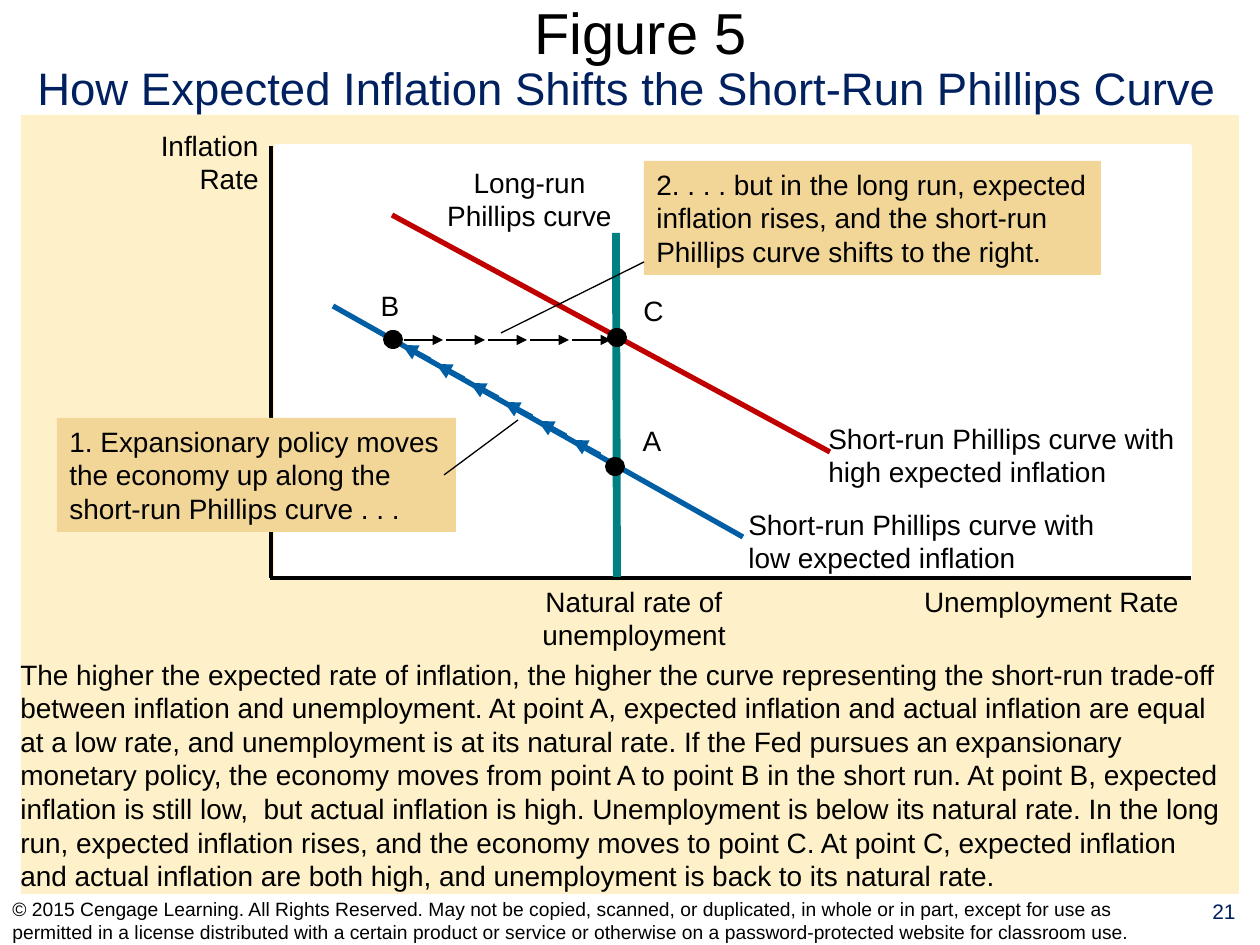
import pptx
import pptx.dml.color
import pptx.enum.shapes
import pptx.enum.text
import pptx.oxml
import pptx.oxml.ns
import pptx.util

RGB = pptx.dml.color.RGBColor
SHAPE = pptx.enum.shapes.MSO_SHAPE
ALIGN = pptx.enum.text.PP_ALIGN
ANCHOR = pptx.enum.text.MSO_ANCHOR
AUTO_SIZE = pptx.enum.text.MSO_AUTO_SIZE

BLACK = RGB(0x00, 0x00, 0x00)
WHITE = RGB(0xFF, 0xFF, 0xFF)
NAVY = RGB(0x00, 0x20, 0x60)
CREAM = RGB(0xFE, 0xF0, 0xC8)
SAND = RGB(0xF2, 0xD6, 0x98)
TEAL = RGB(0x00, 0x80, 0x80)
RED = RGB(0xC0, 0x00, 0x00)
BLUE = RGB(0x00, 0x5E, 0xA4)

PX = 914400 / 126  # 126 px to the inch


def emu(*lengths):
    """Turn px lengths into EMU."""
    return [round(length * PX) for length in lengths]


def add_line(points, color, width, arrow=False):
    connector = slide.shapes.add_connector(
        pptx.enum.shapes.MSO_CONNECTOR.STRAIGHT, *emu(*points))
    connector.line.color.rgb = color
    connector.line.width = pptx.util.Pt(width)
    if arrow:
        line_xml = connector.line._get_or_add_ln()
        line_xml.append(pptx.oxml.parse_xml(
            f'<a:tailEnd {pptx.oxml.ns.nsdecls("a")} type="triangle"/>'))
    properties = connector._element.spPr
    properties.append(properties.makeelement(pptx.oxml.ns.qn("a:effectLst")))


presentation = pptx.Presentation()
presentation.slide_width, presentation.slide_height = emu(1260, 945)
slide = presentation.slides.add_slide(presentation.slide_layouts[5])

title = slide.shapes.title
title.left, title.top, title.width, title.height = emu(44, 0, 1193, 62)
title.text_frame.text = "Figure 5"
title.text_frame.auto_size = AUTO_SIZE.NONE
title.text_frame.vertical_anchor = ANCHOR.MIDDLE
heading = title.text_frame.paragraphs[0]
heading.alignment = ALIGN.CENTER
heading.font.name = "Arial"
heading.font.size = pptx.util.Pt(33)
heading.font.color.rgb = BLACK

# Background, vertical axis and plot area, from back to front
backdrop = slide.shapes.add_shape(SHAPE.RECTANGLE, *emu(21, 115, 1218, 779))
add_line((271, 146, 271, 578), BLACK, 2.25)
plot_area = slide.shapes.add_shape(SHAPE.RECTANGLE, *emu(276, 146, 914, 430))
for panel, color in ((backdrop, CREAM), (plot_area, WHITE)):
    panel.shadow.inherit = False
    panel.fill.solid()
    panel.fill.fore_color.rgb = color
    panel.line.fill.background()
plot_area.line.color.rgb = WHITE
plot_area.line.width = pptx.util.Pt(2)

add_line((270, 578, 1191, 578), BLACK, 2.25)  # horizontal axis
add_line((616, 233, 617, 577), TEAL, 4.5)     # long-run curve
add_line((392, 215, 830, 452), RED, 3)        # high expected inflation
add_line((333, 306, 743, 537), BLUE, 3)       # low expected inflation

# Points C, A and B
for center_x, center_y in ((617, 338), (615, 467), (393, 340)):
    dot = slide.shapes.add_shape(
        SHAPE.OVAL, *emu(center_x - 10, center_y - 10, 20, 19))
    dot.shadow.inherit = False
    dot.fill.solid()
    dot.fill.fore_color.rgb = BLACK
    dot.line.fill.background()

# Moves from B to C, then from A to B
for step in range(5):
    x = 404 + 42 * step
    add_line((x, 340, x + 39, 340), BLACK, 1.5, arrow=True)
for step in range(6):
    x, y = 402 + 34 * step, 345 + 19 * step
    add_line((x + 28, y + 15, x, y), BLUE, 3, arrow=True)

EXPLANATION = (
    "The higher the expected rate of inflation, the higher the curve "
    "representing the short-run trade-off between inflation and unemployment. "
    "At point A, expected inflation and actual inflation are equal at a low "
    "rate, and unemployment is at its natural rate. If the Fed pursues an "
    "expansionary monetary policy, the economy moves from point A to point B "
    "in the short run. At point B, expected inflation is still low,  but actual "
    "inflation is high. Unemployment is below its natural rate. In the long "
    "run, expected inflation rises, and the economy moves to point C. At point "
    "C, expected inflation and actual inflation are both high, and unemployment "
    "is back to its natural rate.")
COPYRIGHT = (
    "© 2015 Cengage Learning. All Rights Reserved. May not be copied, scanned, "
    "or duplicated, in whole or in part, except for use as permitted in a "
    "license distributed with a certain product or service or otherwise on a "
    "password-protected website for classroom use.")
POLICY = ("1. Expansionary policy moves\nthe economy up along the\n"
          "short-run Phillips curve . . .")
SHIFT = ("2. . . . but in the long run, expected\ninflation rises, and the "
         "short-run\nPhillips curve shifts to the right.")
HIGH = "Short-run Phillips curve with high expected inflation"
LOW = "Short-run Phillips curve with low expected inflation"
SUBTITLE = "How Expected Inflation Shifts the Short-Run Phillips Curve"
LEFT, CENTER, RIGHT = ALIGN.LEFT, ALIGN.CENTER, ALIGN.RIGHT

# text, box in px, alignment, wrap, size, color, fill
labels = [
    (COPYRIGHT, (0, 895, 1187, 50), LEFT, True, 11, BLACK, None),
    (SUBTITLE, (25, 54, 1210, 68), LEFT, False, 26, NAVY, None),
    ("Inflation\nRate", (141, 122, 130, 81), RIGHT, False, 16, BLACK, None),
    ("Unemployment Rate", (905, 578, 286, 47), RIGHT, False, 16, BLACK, None),
    (EXPLANATION, (8, 651, 1231, 248), LEFT, True, 16, BLACK, None),
    ("Long-run\nPhillips curve", (430, 159, 199, 81), CENTER, False, 16, BLACK, None),
    ("Natural rate of\nunemployment", (527, 578, 214, 81), CENTER, False, 16, BLACK, None),
    (HIGH, (816, 415, 381, 81), LEFT, True, 16, BLACK, None),
    (LOW, (736, 501, 379, 81), LEFT, True, 16, BLACK, None),
    ("C", (631, 287, 45, 47), CENTER, False, 16, BLACK, None),
    ("A", (630, 417, 44, 47), CENTER, False, 16, BLACK, None),
    ("B", (368, 282, 44, 47), CENTER, False, 16, BLACK, None),
    (POLICY, (57, 418, 399, 114), LEFT, False, 16, BLACK, SAND),
    (SHIFT, (644, 161, 457, 114), LEFT, False, 16, BLACK, SAND),
    ("21", (1188, 892, 72, 52), CENTER, True, 12, NAVY, None),
]
for text, box, alignment, wrap, size, color, fill in labels:
    label = slide.shapes.add_textbox(*emu(*box))
    frame = label.text_frame
    frame.text = text
    frame.word_wrap = wrap
    if size >= 16:
        frame.auto_size = AUTO_SIZE.SHAPE_TO_FIT_TEXT
    if text == COPYRIGHT:
        frame.vertical_anchor = ANCHOR.MIDDLE
    if fill:
        label.fill.solid()
        label.fill.fore_color.rgb = fill
    for paragraph in frame.paragraphs:
        paragraph.alignment = alignment
        paragraph.font.name = "Arial"
        paragraph.font.size = pptx.util.Pt(size)
        paragraph.font.color.rgb = color

# Leaders from the callouts to the arrows
add_line((518, 420, 444, 475), BLACK, 0.75)
add_line((644, 262, 501, 333), BLACK, 0.75)

presentation.save("out.pptx")
